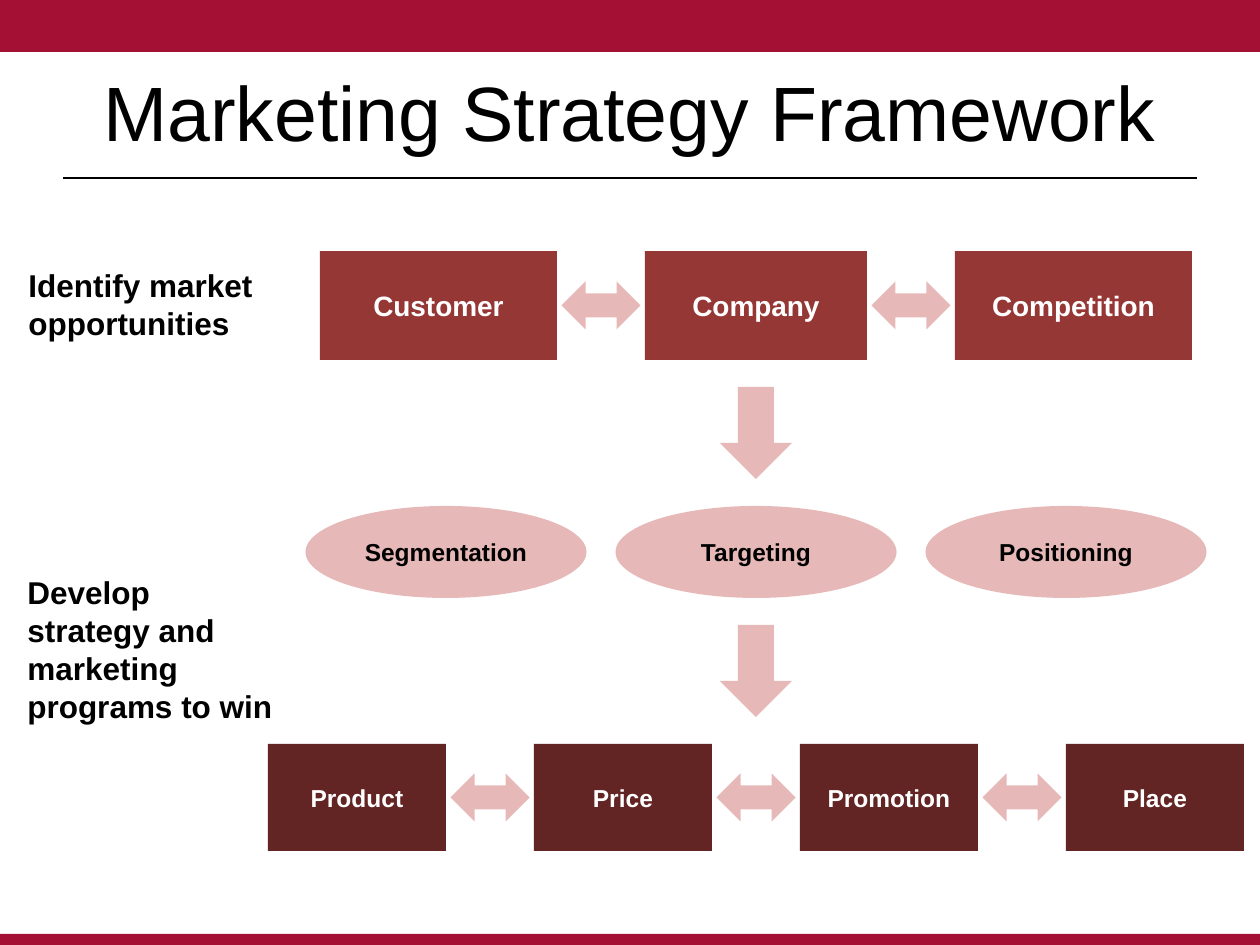
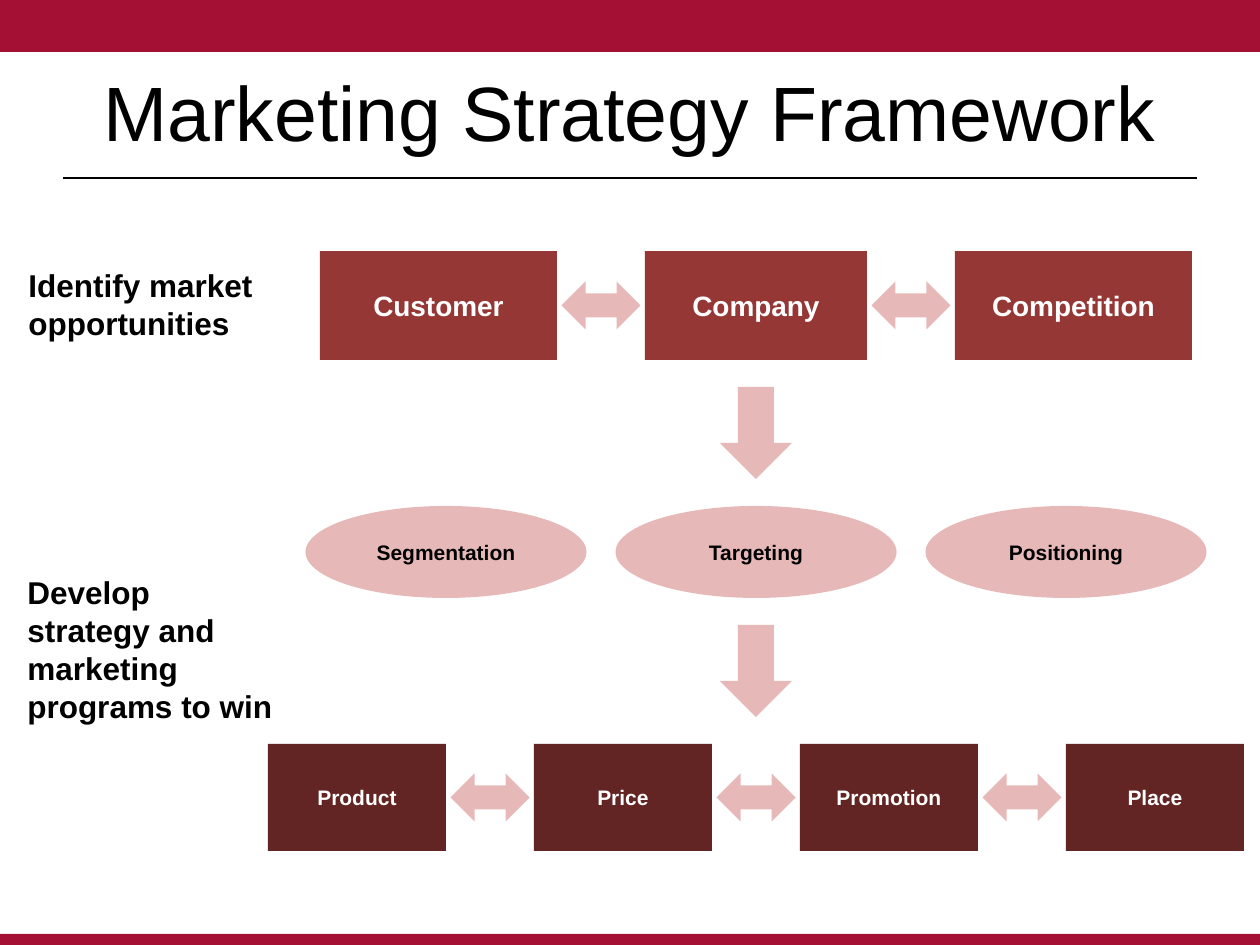
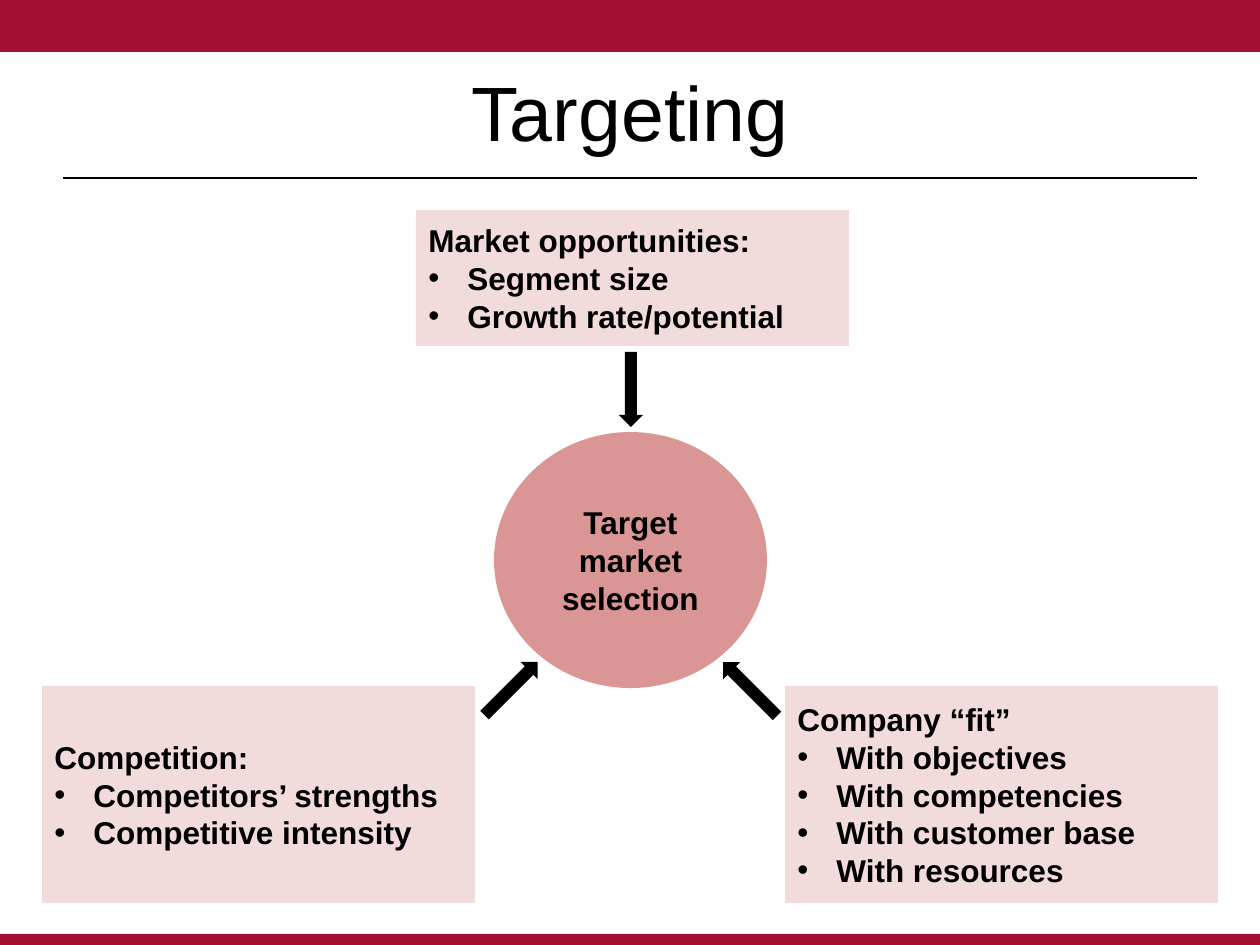
from lxml.etree import SubElement
from pptx import Presentation
from pptx.dml.color import RGBColor
from pptx.enum.shapes import MSO_CONNECTOR, MSO_SHAPE
from pptx.enum.text import MSO_ANCHOR, PP_ALIGN
from pptx.oxml.ns import qn
from pptx.util import Inches, Pt

COLORS = {
    "crimson": "A41034", "black": "000000", "white": "FFFFFF",
    "brick": "953735", "maroon": "632523", "pink": "E6B9B8",
    "rose": "D99694", "blush": "F2DCDB",
}
PX = Inches(10) / 1260
FONT = "Arial"
BULLET_INDENT = 39

BANDS = [(0, 0, 1260, 52), (0, 934, 1260, 11)]
TITLE_BOX = (63, 32, 1134, 157)
TITLE_RULE = (63, 178, 1197, 178)

FRAMEWORK_TITLE = "Marketing Strategy Framework"
STAGE_SIZES = [14, 12]
STAGE_LABELS = [
    (["Identify market", "opportunities"], (16, 260, 284, 92)),
    (["Develop\vstrategy and marketing programs to win"], (15, 567, 284, 198)),
]
FRAMEWORK_ROWS = [
    {"items": ["Customer", "Company", "Competition"], "widths": [237, 222, 237],
     "gap": 88, "height": 109, "shape": MSO_SHAPE.RECTANGLE,
     "fill": "brick", "color": "white", "size": 16, "linked": True},
    {"items": ["Segmentation", "Targeting", "Positioning"], "widths": [281] * 3,
     "gap": 29, "height": 92, "shape": MSO_SHAPE.OVAL,
     "fill": "pink", "color": "black", "size": None, "linked": False},
    {"items": ["Product", "Price", "Promotion", "Place"], "widths": [178] * 4,
     "gap": 88, "height": 107, "shape": MSO_SHAPE.RECTANGLE,
     "fill": "maroon", "color": "white", "size": None, "linked": True},
]
FRAMEWORK_CENTER, FRAMEWORK_TOP, ROW_SPACE = 756, 251, 27
LINK_SIZE = (79, 48)
STEP_SIZE = (72, 92)

TARGETING_TITLE = "Targeting"
FACTORS = [
    ("Competition:", ["Competitors’ strengths", "Competitive intensity"],
     (42, 686, 433, 217)),
    ("Company “fit”", ["With objectives", "With competencies",
                       "With customer base", "With resources"],
     (785, 686, 433, 217)),
    ("Market opportunities:", ["Segment size", "Growth rate/potential"],
     (416, 210, 433, 136)),
]
SELECTION = ("Target\vmarket\vselection", (494, 432, 273, 256))
FACTOR_ARROWS = [((738, 651, 24, 76), 135), ((499, 651, 24, 75), 225),
                 ((619, 352, 24, 75), 0)]


def emu(lengths):
    """Turn px lengths into EMU."""
    return [round(length * PX) for length in lengths]


def rgb(name):
    """Look up a palette colour."""
    return RGBColor.from_string(COLORS[name])


def write(frame, lines, size, color, bold=True, align=PP_ALIGN.LEFT, anchor=MSO_ANCHOR.MIDDLE):
    """Fill a text frame with one paragraph per line."""
    frame.text = "\n".join(lines)
    frame.word_wrap = True
    frame.vertical_anchor = anchor
    look = {"name": FONT, "size": Pt(size), "bold": bold}
    for paragraph in frame.paragraphs:
        paragraph.alignment = align
        for run in paragraph.runs:
            for key, value in look.items():
                setattr(run.font, key, value)
            run.font.color.rgb = rgb(color)


def add_bullet(paragraph):
    """Give a paragraph a hanging round bullet."""
    properties = paragraph._p.get_or_add_pPr()
    indent = emu([BULLET_INDENT])[0]
    properties.set("marL", str(indent))
    properties.set("indent", str(-indent))
    SubElement(properties, qn("a:buFont")).set("typeface", FONT)
    SubElement(properties, qn("a:buChar")).set("char", "•")


def add_block(slide, kind, box, fill):
    """Add a flat filled shape without outline."""
    block = slide.shapes.add_shape(kind, *emu(box))
    block.shadow.inherit = False
    block.fill.solid()
    block.fill.fore_color.rgb = rgb(fill)
    block.line.fill.background()
    return block


def dress_layout(layout, slide):
    """Put the bands and the title rule on the layout, behind its placeholders."""
    rule = slide.shapes.add_connector(MSO_CONNECTOR.STRAIGHT, *emu(TITLE_RULE))
    rule.line.color.rgb = rgb("black")
    rule.line.width = Pt(1.25)
    SubElement(rule.element.spPr, qn("a:effectLst"))
    bands = [add_block(slide, MSO_SHAPE.RECTANGLE, box, "crimson") for box in BANDS]
    for position, part in enumerate([*bands, rule], start=2):
        layout.shapes.element.insert(position, part.element)


def add_titled_slide(deck, layout, heading):
    """Add a slide with the shared title style."""
    slide = deck.slides.add_slide(layout)
    title = slide.shapes.title
    for side, value in zip(("left", "top", "width", "height"), emu(TITLE_BOX)):
        setattr(title, side, value)
    write(title.text_frame, [heading], 44, "black", bold=False, align=PP_ALIGN.CENTER)
    return slide


def add_row(slide, row, top, stage_size):
    """Draw one centred framework row with links between its items."""
    gap, height = row["gap"], row["height"]
    link_width, link_height = LINK_SIZE
    left = FRAMEWORK_CENTER - (sum(row["widths"]) + gap * (len(row["items"]) - 1)) / 2
    for index, (item, width) in enumerate(zip(row["items"], row["widths"])):
        if index and row["linked"]:
            link = (left - (gap + link_width) / 2, top + (height - link_height) / 2, *LINK_SIZE)
            add_block(slide, MSO_SHAPE.LEFT_RIGHT_ARROW, link, "pink")
        block = add_block(slide, row["shape"], (left, top, width, height), row["fill"])
        write(block.text_frame, [item], row["size"] or stage_size, row["color"],
              align=PP_ALIGN.CENTER)
        left += width + gap


def build_framework(slide, stage_size):
    """Draw the stage labels and the stacked rows."""
    for lines, box in STAGE_LABELS:
        label = slide.shapes.add_textbox(*emu(box))
        write(label.text_frame, lines, 18, "black", anchor=MSO_ANCHOR.TOP)
    step_width, step_height = STEP_SIZE
    top = FRAMEWORK_TOP
    for index, row in enumerate(FRAMEWORK_ROWS):
        if index:
            step = (FRAMEWORK_CENTER - step_width / 2, top, *STEP_SIZE)
            add_block(slide, MSO_SHAPE.DOWN_ARROW, step, "pink")
            top += step_height + ROW_SPACE
        add_row(slide, row, top, stage_size)
        top += row["height"] + ROW_SPACE


def build_targeting(slide):
    """Draw the factors that point to the market selection."""
    for heading, points, box in FACTORS:
        factor = add_block(slide, MSO_SHAPE.RECTANGLE, box, "blush")
        write(factor.text_frame, [heading, *points], 18, "black")
        for paragraph in factor.text_frame.paragraphs[1:]:
            add_bullet(paragraph)
    text, box = SELECTION
    selection = add_block(slide, MSO_SHAPE.OVAL, box, "rose")
    write(selection.text_frame, [text], 18, "black", align=PP_ALIGN.CENTER)
    for box, rotation in FACTOR_ARROWS:
        add_block(slide, MSO_SHAPE.DOWN_ARROW, box, "black").rotation = rotation


def main():
    """Build and save the deck."""
    deck = Presentation()
    deck.slide_width, deck.slide_height = emu((1260, 945))
    layout = deck.slide_layouts.get_by_name("Title Only")
    for stage_size in STAGE_SIZES:
        build_framework(add_titled_slide(deck, layout, FRAMEWORK_TITLE), stage_size)
    targeting = add_titled_slide(deck, layout, TARGETING_TITLE)
    dress_layout(layout, targeting)
    build_targeting(targeting)
    deck.save("out.pptx")


if __name__ == "__main__":
    main()
